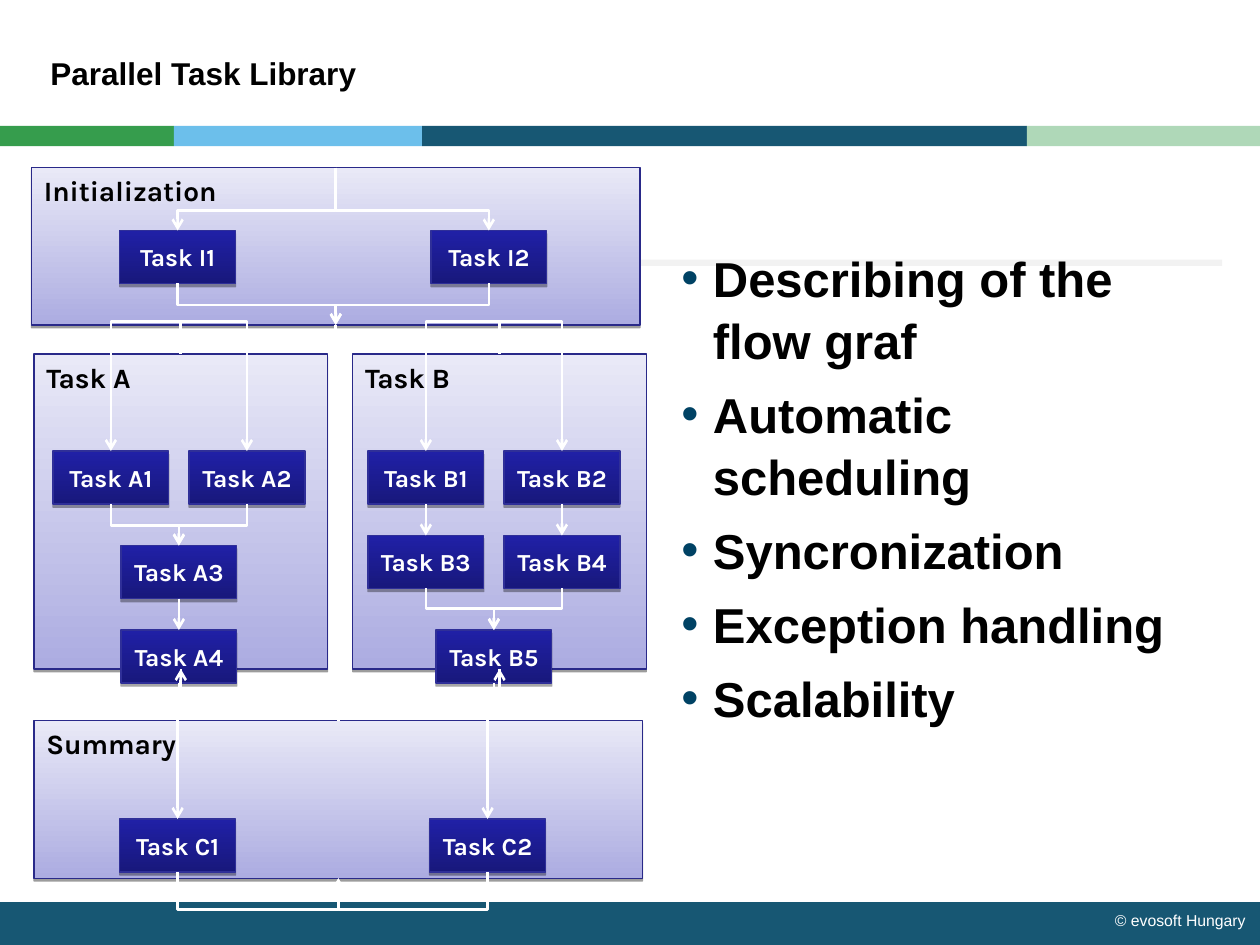
"""Build the Parallel Task Library slide with its task flow diagram."""
from lxml import etree
from pptx import Presentation
from pptx.dml.color import RGBColor
from pptx.enum.shapes import MSO_CONNECTOR, MSO_SHAPE
from pptx.enum.text import MSO_ANCHOR, MSO_AUTO_SIZE, PP_ALIGN
from pptx.oxml.ns import qn
from pptx.util import Inches, Pt

RECT = MSO_SHAPE.RECTANGLE
ELBOW, STRAIGHT = MSO_CONNECTOR.ELBOW, MSO_CONNECTOR.STRAIGHT
TOP, MIDDLE, BOTTOM = MSO_ANCHOR.TOP, MSO_ANCHOR.MIDDLE, MSO_ANCHOR.BOTTOM
LEFT, CENTER = PP_ALIGN.LEFT, PP_ALIGN.CENTER
NO_FIT = MSO_AUTO_SIZE.NONE

TITLE = "Parallel Task Library"
FOOTER = "© evosoft Hungary"
BULLETS = ["Describing of the flow graf", "Automatic scheduling", "Syncronization",
           "Exception handling", "Scalability"]
BARS = [
    (0, 7.16, 10, 0.36, "175773"),
    (0, 1, 1.38, 0.16, "369D4D"),
    (1.38, 1, 1.97, 0.16, "6CBFEB"),
    (3.35, 1, 4.8, 0.16, "175773"),
    (8.15, 1, 1.85, 0.16, "AFD8B8"),
    (0.4, 2.06, 9.3, 0.05, "F2F2F2"),
]
PANELS = {
    "Initialization": (0.25, 1.33, 4.83, 1.25),
    "Task A": (0.27, 2.81, 2.33, 2.5),
    "Task B": (2.8, 2.81, 2.33, 2.5),
    "Summary": (0.27, 5.72, 4.83, 1.25),
}
TASK_SIZE = (0.92, 0.42)
TASKS = {
    "I1": (0.95, 1.83), "I2": (3.42, 1.83),
    "A1": (0.42, 3.58), "A2": (1.5, 3.58), "A3": (0.96, 4.33), "A4": (0.96, 5),
    "B1": (2.92, 3.58), "B2": (4, 3.58), "B3": (2.92, 4.25), "B4": (4, 4.25), "B5": (3.46, 5),
    "C1": (0.95, 6.5), "C2": (3.41, 6.5),
}
STRAIGHT_FLOWS = [("A3", "A4"), ("B1", "B3"), ("B2", "B4")]
BENT_FLOWS = [
    ("Initialization", "I1", 1.67), ("Initialization", "I2", 1.67),
    ("I1", "Initialization", 2.42), ("I2", "Initialization", 2.42),
    ("Initialization", "Task A", 2.69), ("Initialization", "Task B", 2.69),
    ("Task A", "A1", 2.55), ("Task A", "A2", 2.55),
    ("A1", "A3", 4.17), ("A2", "A3", 4.17), ("A4", "Task A", 5.67),
    ("Task B", "B1", 2.55), ("Task B", "B2", 2.55),
    ("B3", "B5", 4.83), ("B4", "B5", 4.83), ("B5", "Task B", 5.67),
    ("Task A", "Summary", 5.51), ("Task B", "Summary", 5.51),
    ("Summary", "C1", 5.47), ("Summary", "C2", 5.47),
    ("C1", "Summary", 7.22), ("C2", "Summary", 7.22),
]
PANEL_STYLE = {"stops": ("ACACE1", "E9E9F7"), "line": "292989", "shadow": (1.6, 38),
               "anchor": TOP, "align": LEFT,
               "font": {"name": "Karla", "size": 16, "bold": True, "color": "000000"}}
TASK_STYLE = {"stops": ("18187C", "2020A6"), "line": "2F2F98", "shadow": (1.8, 35),
              "anchor": MIDDLE, "align": CENTER,
              "font": {"name": "Karla", "size": 14, "bold": True, "color": "FFFFFF"}}
TITLE_FONT = {"name": "Arial", "size": 18, "bold": True, "color": "000000"}
BULLET_FONT = {**TITLE_FONT, "size": 28}
FOOTER_FONT = {"name": "Arial", "size": 9, "bold": False, "color": "FFFFFF"}


def rgb(value):
    """Turn a hex string into a colour."""
    return RGBColor.from_string(value)


def add_xml(parent, tag, **attrs):
    """Append a drawing element and return it."""
    return etree.SubElement(parent, qn(tag), {k: str(v) for k, v in attrs.items()})


def set_font(font, fmt):
    """Apply a dict of font values."""
    values = {**fmt, "size": Pt(fmt["size"])}
    font.color.rgb = rgb(values.pop("color"))
    for key, value in values.items():
        setattr(font, key, value)


def write(p, text, fmt, align=LEFT):
    """Put one formatted run in a paragraph."""
    p.alignment = align
    r = p.add_run()
    r.text = text
    set_font(r.font, fmt)


def set_frame(tf, anchor=TOP, wrap=True, margins=(0.1, 0.05)):
    """Set anchor, wrapping and insets of a text frame."""
    mx, my = map(Inches, margins)
    values = {"auto_size": NO_FIT, "word_wrap": wrap, "vertical_anchor": anchor,
              "margin_left": mx, "margin_right": mx, "margin_top": my, "margin_bottom": my}
    for key, value in values.items():
        setattr(tf, key, value)


def add_bar(s, x, y, w, h, color):
    """Add a plain coloured bar."""
    sp = s.shapes.add_shape(RECT, *map(Inches, (x, y, w, h)))
    sp.shadow.inherit = False
    sp.fill.solid()
    sp.fill.fore_color.rgb = rgb(color)
    sp.line.fill.background()


def add_box(s, text, box, style):
    """Add a labelled gradient box with a shadow."""
    sp = s.shapes.add_shape(RECT, *map(Inches, box))
    sp.fill.gradient()
    sp.fill.gradient_angle = 90
    for stop, color, place in zip(sp.fill.gradient_stops, style["stops"], (0, 1)):
        stop.color.rgb, stop.position = rgb(color), place
    sp.line.color.rgb, sp.line.width = rgb(style["line"]), Pt(0.75)
    sp.shadow.inherit = False
    dist, alpha = style["shadow"]
    shadow = add_xml(sp._element.spPr.find(qn("a:effectLst")), "a:outerShdw",
                     blurRad=0, dist=Pt(dist), dir=5400000, rotWithShape=0)
    add_xml(add_xml(shadow, "a:srgbClr", val="000000"), "a:alpha", val=alpha * 1000)
    set_frame(sp.text_frame, style["anchor"])
    write(sp.text_frame.paragraphs[0], text, style["font"], style["align"])
    return sp


def add_arrow(s, kind, x1, y1, x2, y2):
    """Add a white connector with an arrowhead at its end."""
    c = s.shapes.add_connector(kind, *map(Inches, (x1, y1, x2, y2)))
    c.line.color.rgb, c.line.width = rgb("FFFFFF"), Pt(1.5)
    spPr = c._element.spPr
    add_xml(spPr.find(qn("a:ln")), "a:tailEnd", type="arrow")
    add_xml(spPr, "a:effectLst")
    return c


def add_bent(s, source, target, via):
    """Route a connector down or up to the height via, across, then to its target."""
    boxes = {**PANELS, **{k: (*v, *TASK_SIZE) for k, v in TASKS.items()}}
    (ax, ay, aw, ah), (bx, by, bw, bh) = boxes[source], boxes[target]
    enters = source in PANELS and target in TASKS
    leaves = source in TASKS and target in PANELS
    x1, y1 = ax + aw / 2, ay if enters else ay + ah
    x2, y2 = bx + bw / 2, by + bh if leaves else by
    dx, dy = x2 - x1, y2 - y1
    w, h = abs(dy), abs(dx)
    left, top = (x1 + x2 - w) / 2, (y1 + y2 - h) / 2
    c = add_arrow(s, ELBOW, left, top, left + w, top + h)
    xfrm = c._element.spPr.find(qn("a:xfrm"))
    if dy < 0:
        turn = {"rot": "5400000", "flipH": "1", "flipV": "1" if dx > 0 else "0"}
    elif dx > 0:
        turn = {"rot": "16200000", "flipH": "1"}
    else:
        turn = {"rot": "5400000"}
    for key, value in turn.items():
        xfrm.set(key, value)
    guides = c._element.spPr.find(qn("a:prstGeom")).get_or_add_avLst()
    add_xml(guides, "a:gd", name="adj1", fmla=f"val {round((via - y1) / dy * 100000)}")


def add_bullets(s):
    """Add the bulleted list on the right."""
    tf = s.shapes.add_textbox(*map(Inches, (5.31, 1.9, 4.35, 5.25))).text_frame
    set_frame(tf)
    for i, text in enumerate(BULLETS):
        p = tf.add_paragraph() if i else tf.paragraphs[0]
        p.line_spacing = 1.05
        p.space_before = Pt(7 if i else 0)
        pPr = p._p.get_or_add_pPr()
        pPr.set("marL", str(Inches(0.25)))
        pPr.set("indent", str(Inches(-0.25)))
        add_xml(add_xml(pPr, "a:buClr"), "a:srgbClr", val="004264")
        add_xml(pPr, "a:buFont", typeface="Arial")
        add_xml(pPr, "a:buChar", char="•")
        write(p, text, BULLET_FONT)


def main():
    """Build and save the slide."""
    prs = Presentation()
    prs.slide_width, prs.slide_height = Inches(10), Inches(7.5)
    s = prs.slides.add_slide(prs.slide_layouts[5])
    for bar in BARS:
        add_bar(s, *bar)
    title = s.shapes.title
    title.left, title.top, title.width, title.height = map(Inches, (0.4, 0, 7.33, 0.73))
    set_frame(title.text_frame, BOTTOM, margins=(0, 0))
    write(title.text_frame.paragraphs[0], TITLE, TITLE_FONT)
    footer = s.shapes.add_textbox(*map(Inches, (8.75, 7.18, 1.25, 0.31))).text_frame
    set_frame(footer, wrap=False)
    write(footer.paragraphs[0], FOOTER, FOOTER_FONT)
    add_bullets(s)
    for name, box in PANELS.items():
        add_box(s, name, box, PANEL_STYLE)
    tasks = {k: add_box(s, f"Task {k}", (*at, *TASK_SIZE), TASK_STYLE) for k, at in TASKS.items()}
    for source, target in STRAIGHT_FLOWS:
        c = add_arrow(s, STRAIGHT, 0, 0, 1, 1)
        c.begin_connect(tasks[source], 2)
        c.end_connect(tasks[target], 0)
    for flow in BENT_FLOWS:
        add_bent(s, *flow)
    prs.save("out.pptx")


if __name__ == "__main__":
    main()
